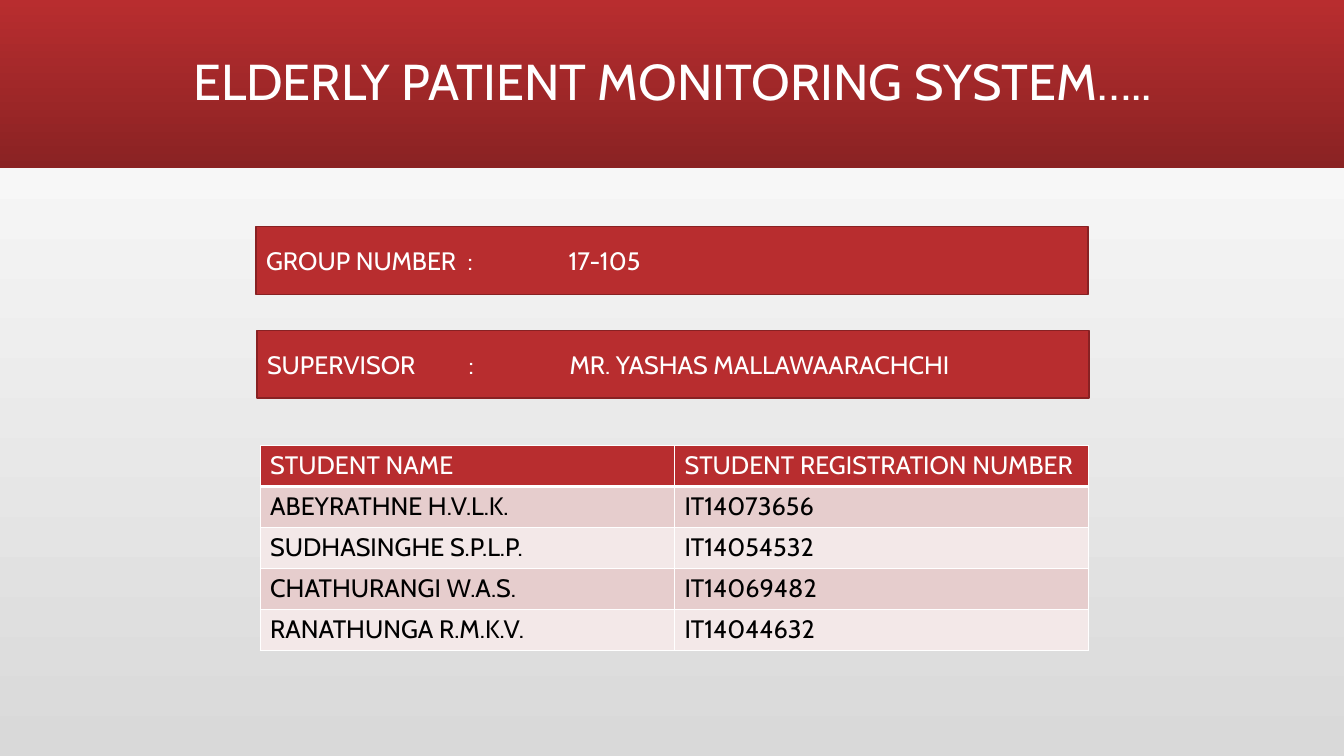
from dataclasses import dataclass

from lxml.etree import SubElement
from pptx import Presentation
from pptx.dml.color import RGBColor
from pptx.enum.shapes import MSO_SHAPE as Shape
from pptx.enum.text import MSO_ANCHOR as Anchor, PP_ALIGN as Align
from pptx.oxml.ns import qn
from pptx.util import Inches, Pt


@dataclass(frozen=True)
class Theme:
    font: str = "Cabin"
    title_size: int = 36
    body_size: int = 18
    white: str = "FFFFFF"
    black: str = "000000"
    red: str = "B82D2F"
    dark_red: str = "8A2223"
    outline: str = "882123"
    page_gray: str = "D9D9D9"
    bands: tuple = ("E6CDCD", "F3E8E8")


THEME = Theme()
LABEL_TABS = (2, 3)
DETAILS = (
    (2.54, "GROUP NUMBER\t:\t17-105"),
    (2.55, "SUPERVISOR\t:\tMR. YASHAS MALLAWAARACHCHI"),
)
STUDENTS = (
    ("STUDENT NAME", "STUDENT REGISTRATION NUMBER"),
    ("ABEYRATHNE H.V.L.K.", "IT14073656"),
    ("SUDHASINGHE S.P.L.P.", "IT14054532"),
    ("CHATHURANGI W.A.S.", "IT14069482"),
    ("RANATHUNGA R.M.K.V.", "IT14044632"),
)


def rgb(value):
    return RGBColor.from_string(value)


def fill_gradient(fill, start, end, angle):
    fill.gradient()
    fill.gradient_angle = angle
    for stop, color in zip(fill.gradient_stops, (start, end)):
        stop.color.rgb = rgb(color)


def write_text(frame, text, size=THEME.body_size, color=THEME.white,
               align=Align.LEFT, spacing=None, tabs=()):
    frame.word_wrap = True
    para = frame.paragraphs[0]
    para.alignment = align
    if spacing:
        para.line_spacing = spacing
    if tabs:
        tab_list = SubElement(para._p.get_or_add_pPr(), qn("a:tabLst"))
        for tab in tabs:
            SubElement(tab_list, qn("a:tab"), pos=str(Inches(tab)), algn="l")
    span = para.add_run()
    span.text = text
    span.font.name = THEME.font
    span.font.size = Pt(size)
    span.font.color.rgb = rgb(color)


def add_rectangle(page, left, top, width, height):
    box = page.shapes.add_shape(Shape.RECTANGLE, Inches(left), Inches(top),
                                Inches(width), Inches(height))
    box.shadow.inherit = False
    return box


def add_header(page, left, top, width, height):
    band = add_rectangle(page, left, top, width, height)
    fill_gradient(band.fill, THEME.red, THEME.dark_red, 270)
    band.line.fill.background()
    title = page.shapes.add_textbox(Inches(left + 1.17), Inches(top + 0.11),
                                    Inches(width - 2.33), Inches(height - 0.22))
    title.text_frame.vertical_anchor = Anchor.MIDDLE
    write_text(title.text_frame, "ELDERLY PATIENT MONITORING SYSTEM…..",
               size=THEME.title_size, align=Align.CENTER, spacing=0.9)


def add_detail(page, text, left, top, width, height):
    bar = add_rectangle(page, left, top, width, height)
    bar.fill.solid()
    bar.fill.fore_color.rgb = rgb(THEME.red)
    bar.line.color.rgb = rgb(THEME.outline)
    bar.line.width = Pt(1)
    bar.text_frame.vertical_anchor = Anchor.MIDDLE
    write_text(bar.text_frame, text, tabs=LABEL_TABS)


def add_borders(cell, top, bottom):
    """Draw white cell edges; top and bottom are widths in points."""
    properties = cell._tc.get_or_add_tcPr()
    for side, width in (("L", 1), ("R", 1), ("T", top), ("B", bottom)):
        edge = SubElement(properties, qn(f"a:ln{side}"), w=str(Pt(width)))
        paint = SubElement(edge, qn("a:solidFill"))
        SubElement(paint, qn("a:srgbClr"), val=THEME.white)


def add_students(page, left, top, width, height):
    table = page.shapes.add_table(len(STUDENTS), len(STUDENTS[0]), Inches(left),
                                  Inches(top), Inches(width), Inches(height)).table
    for row, values in enumerate(STUDENTS):
        is_header = row == 0
        fill = THEME.red if is_header else THEME.bands[(row - 1) % 2]
        color = THEME.white if is_header else THEME.black
        for column, value in enumerate(values):
            cell = table.cell(row, column)
            add_borders(cell, top=3 if row == 1 else 1, bottom=3 if is_header else 1)
            cell.fill.solid()
            cell.fill.fore_color.rgb = rgb(fill)
            write_text(cell.text_frame, value, color=color)


def main():
    deck = Presentation()
    deck.slide_width, deck.slide_height = Inches(13.33), Inches(7.5)
    page = deck.slides.add_slide(deck.slide_layouts[6])
    fill_gradient(page.background.fill, THEME.page_gray, THEME.white, 90)
    add_header(page, 0, 0, 13.33, 1.67)
    for index, (left, text) in enumerate(DETAILS):
        add_detail(page, text, left, 2.25 + 1.03 * index, 8.25, 0.67)
    add_students(page, 2.58, 4.42, 8.22, 2.03)
    deck.save("out.pptx")


if __name__ == "__main__":
    main()
